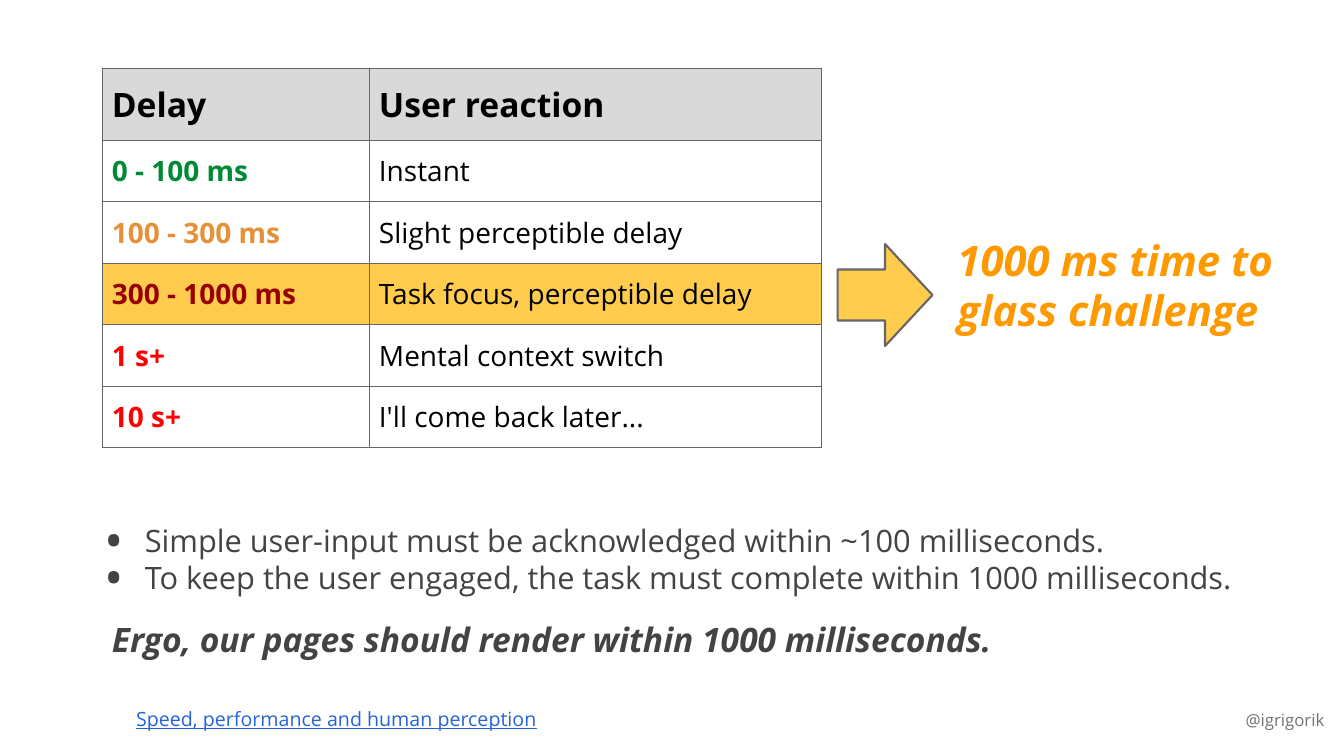
from lxml import etree
from pptx import Presentation
from pptx.dml.color import RGBColor
from pptx.enum.shapes import MSO_SHAPE as SHAPE
from pptx.enum.text import MSO_ANCHOR as ANCHOR, MSO_AUTO_SIZE as AUTO, PP_ALIGN as ALIGN
from pptx.oxml import parse_xml
from pptx.oxml.ns import nsdecls, qn
from pptx.util import Cm, Pt

COLORS = {
    "black": "000000", "white": "FFFFFF", "header": "D9D9D9", "line": "666666",
    "amber": "FFCC4D", "orange": "FF9900", "text": "434343", "handle": "727272",
    "link": "2364D7", "green": "008A35", "tan": "E69138", "maroon": "980000",
    "red": "FF0000",
}


def add_run(p, text, size, color, bold=False, italic=False, underline=False):
    r = p.add_run()
    r.text = text
    f = r.font
    f.name, f.size = "Open Sans", Pt(size)
    f.bold, f.italic, f.underline = bold, italic, underline
    f.color.rgb = RGBColor.from_string(COLORS[color])


def set_frame(tf, anchor):
    tf.word_wrap = True
    tf.auto_size = AUTO.NONE
    tf.vertical_anchor = anchor
    tf.margin_left = tf.margin_right = tf.margin_top = tf.margin_bottom = Cm(0.25)


prs = Presentation()
prs.slide_width, prs.slide_height = Cm(33.87), Cm(19.05)
s = prs.slides.add_slide(prs.slide_layouts[1])
title = s.shapes.title
title.element.getparent().remove(title.element)

rows = [
    ("Delay", "User reaction", "black", "header"),
    ("0 - 100 ms", "Instant", "green", "white"),
    ("100 - 300 ms", "Slight perceptible delay", "tan", "white"),
    ("300 - 1000 ms", "Task focus, perceptible delay", "maroon", "amber"),
    ("1 s+", "Mental context switch", "red", "white"),
    ("10 s+", "I'll come back later...", "red", "white"),
]
table = s.shapes.add_table(len(rows), 2, Cm(2.57), Cm(1.73), Cm(18.13), Cm(9.55)).table
table.columns[0].width, table.columns[1].width = Cm(6.73), Cm(11.4)
for i, (delay, reaction, color, fill) in enumerate(rows):
    header = i == 0
    table.rows[i].height = Cm(1.8 if header else 1.55)
    for j, text in enumerate((delay, reaction)):
        cell = table.cell(i, j)
        cell.vertical_anchor = ANCHOR.MIDDLE
        cell.margin_left = cell.margin_right = Cm(0.25)
        cell.margin_top = cell.margin_bottom = Cm(0.13)
        cell.fill.solid()
        cell.fill.fore_color.rgb = RGBColor.from_string(COLORS[fill])
        add_run(cell.text_frame.paragraphs[0], text, 24 if header else 20,
                color if j == 0 else "black", bold=header or j == 0)
        tcPr = cell._tc.get_or_add_tcPr()
        for k, side in enumerate(("lnL", "lnR", "lnT", "lnB")):
            tcPr.insert(k, parse_xml(
                f'<a:{side} {nsdecls("a")} w="9525"><a:solidFill>'
                f'<a:srgbClr val="{COLORS["line"]}"/></a:solidFill></a:{side}>'))

arrow = s.shapes.add_shape(SHAPE.RIGHT_ARROW, Cm(21.11), Cm(6.15), Cm(2.39), Cm(2.57))
arrow.shadow.inherit = False
arrow.fill.solid()
arrow.fill.fore_color.rgb = RGBColor.from_string(COLORS["amber"])
arrow.line.color.rgb = RGBColor.from_string(COLORS["line"])
arrow.line.width = Pt(1.5)

challenge = s.shapes.add_textbox(Cm(23.88), Cm(5.66), Cm(8.94), Cm(4.45))
set_frame(challenge.text_frame, ANCHOR.TOP)
p = challenge.text_frame.paragraphs[0]
p.line_spacing = Pt(36)
add_run(p, "1000 ms time to glass challenge", 30, "orange", bold=True, italic=True)

body = s.placeholders[1]
body.left, body.top, body.width, body.height = Cm(2.13), Cm(12.42), Cm(30.1), Cm(5.51)
tf = body.text_frame
set_frame(tf, ANCHOR.MIDDLE)
tf.margin_bottom = Cm(0.85)
points = [
    "Simple user-input must be acknowledged within ~100 milliseconds.",
    "To keep the user engaged, the task must complete within 1000 milliseconds.",
]
for i, text in enumerate(points):
    p = tf.paragraphs[0] if i == 0 else tf.add_paragraph()
    pPr = p._p.get_or_add_pPr()
    pPr.set("marL", str(Cm(1.27)))
    pPr.set("indent", str(-Cm(1.02)))
    bullet_color = etree.SubElement(pPr, qn("a:buClr"))
    etree.SubElement(bullet_color, qn("a:srgbClr"), val=COLORS["text"])
    etree.SubElement(pPr, qn("a:buSzPct"), val="167000")
    etree.SubElement(pPr, qn("a:buFont"), typeface="Open Sans")
    etree.SubElement(pPr, qn("a:buChar"), char="•")
    p.space_before = Pt(0)
    p.line_spacing = Pt(26.4)
    add_run(p, text, 22, "text")

p = tf.add_paragraph()
pPr = p._p.get_or_add_pPr()
pPr.set("marL", str(Cm(0.44)))
pPr.set("indent", "0")
etree.SubElement(pPr, qn("a:buNone"))
p.space_before = Pt(17)
p.line_spacing = Pt(28.8)
add_run(p, "Ergo, our pages should render within 1000 milliseconds.", 24, "text",
        bold=True, italic=True)

source = s.shapes.add_textbox(Cm(3.18), Cm(17.63), Cm(15.21), Cm(0.86))
set_frame(source.text_frame, ANCHOR.MIDDLE)
p = source.text_frame.paragraphs[0]
p.line_spacing = 1.15
add_run(p, "Speed, performance and human perception", 14, "link", underline=True)

handle = s.shapes.add_textbox(Cm(24.49), Cm(17.63), Cm(9.14), Cm(1.3))
set_frame(handle.text_frame, ANCHOR.TOP)
p = handle.text_frame.paragraphs[0]
p.alignment = ALIGN.RIGHT
add_run(p, "@igrigorik", 12, "handle")

prs.save("out.pptx")
